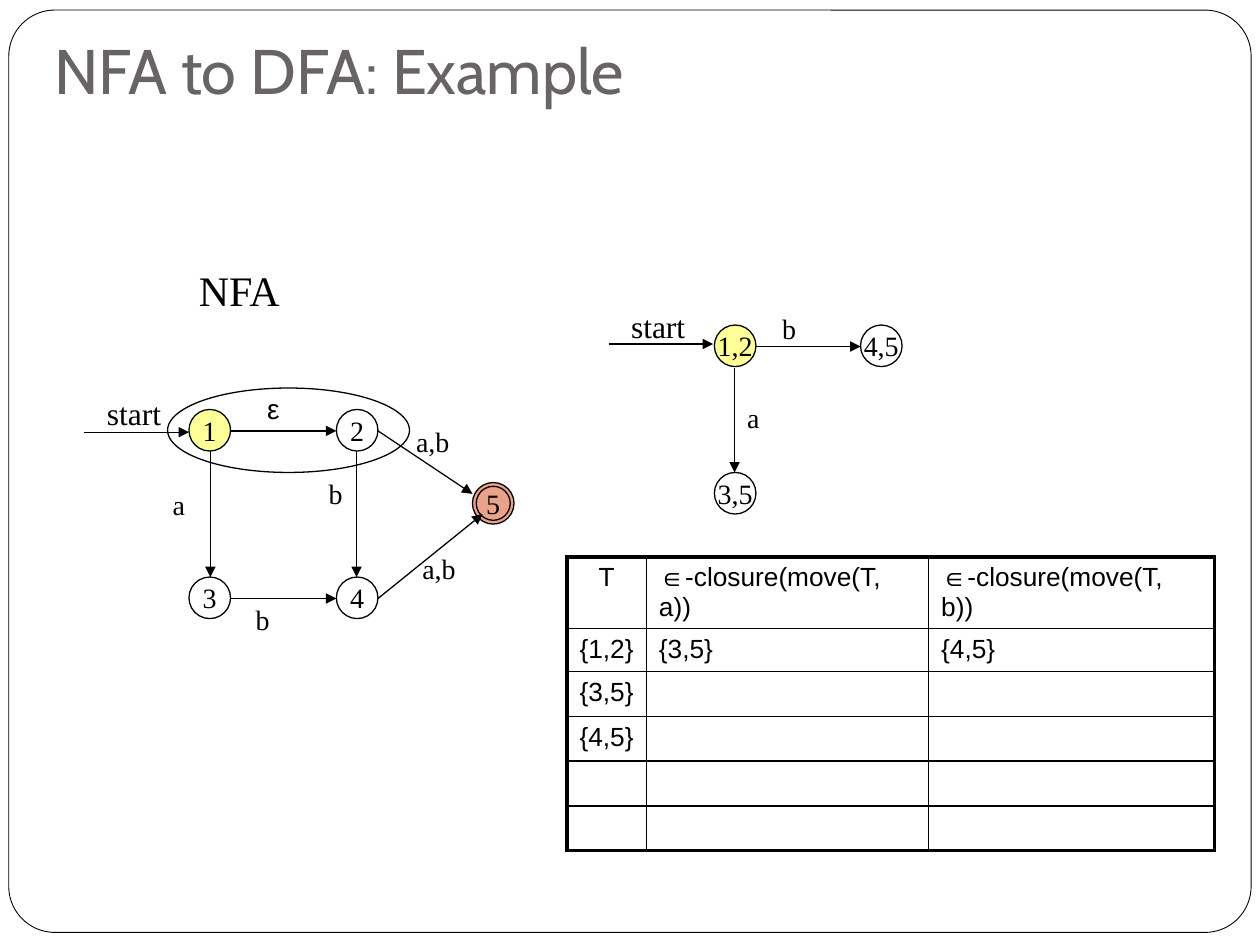
"""Builds a slide showing the first step of converting an NFA to a DFA."""
from lxml import etree
from pptx import Presentation, util as u
from pptx.dml.color import RGBColor
from pptx.enum import shapes, text
from pptx.oxml.ns import qn

BLACK = RGBColor(0x00, 0x00, 0x00)
WHITE = RGBColor(0xFF, 0xFF, 0xFF)
GRAY = RGBColor(0x69, 0x64, 0x64)
YELLOW = RGBColor(0xFF, 0xFF, 0x99)
RUST = RGBColor(0xD3, 0x48, 0x17)
SERIF, SANS = "Times New Roman", "Arial"
NODE = 0.33
CENTER, LEFT = text.PP_ALIGN.CENTER, text.PP_ALIGN.LEFT


def apply(target, formats):
    for name, value in formats.items():
        setattr(target, name, value)


class Diagram:
    def __init__(self, page):
        self.page = page
        self.line_width = u.Pt(0.75)

    def add_words(self, frame, words, size, font=SERIF, align=CENTER, color=BLACK):
        para = frame.paragraphs[0]
        para.alignment = align
        span = para.add_run()
        span.text = words
        apply(span.font, {"size": u.Pt(size), "name": font})
        span.font.color.rgb = color

    def title(self, words):
        box = self.page.shapes.title
        apply(box, {"left": u.Inches(0.33), "top": u.Inches(0.25),
                    "width": u.Inches(9.4), "height": u.Inches(0.7)})
        apply(box.text_frame, {"vertical_anchor": text.MSO_ANCHOR.BOTTOM,
                               "margin_bottom": u.Inches(0.1),
                               "auto_size": text.MSO_AUTO_SIZE.NONE})
        self.add_words(box.text_frame, words, 36, "Cabin", LEFT, GRAY)

    def outline(self, kind, place, fill=None):
        shape = self.page.shapes.add_shape(kind, *map(u.Inches, place))
        shape.shadow.inherit = False
        if fill is None:
            shape.fill.background()
        else:
            shape.fill.solid()
            shape.fill.fore_color.rgb = fill
        shape.line.color.rgb = BLACK
        shape.line.width = self.line_width
        return shape

    def frame(self):
        border = self.outline(shapes.MSO_SHAPE.ROUNDED_RECTANGLE, (0.07, 0.08, 9.86, 7.32), WHITE)
        border.adjustments[0] = 0.05
        border.line.width = u.Pt(0.5)
        self.page.shapes._spTree.insert(2, border._element)

    def oval(self, place, fill=None):
        return self.outline(shapes.MSO_SHAPE.OVAL, place, fill)

    def node(self, words, left, top, fill=None, alpha=None):
        circle = self.oval((left, top, NODE, NODE), fill)
        apply(circle.text_frame, {"word_wrap": False,
                                  "vertical_anchor": text.MSO_ANCHOR.MIDDLE})
        self.add_words(circle.text_frame, words, 16)
        if alpha is not None:
            color = circle._element.spPr.find(qn("a:solidFill"))[0]
            etree.SubElement(color, qn("a:alpha"), val=str(alpha * 1000))

    def arrow(self, *ends):
        line = self.page.shapes.add_connector(shapes.MSO_CONNECTOR.STRAIGHT, *map(u.Inches, ends))
        line.line.color.rgb = BLACK
        line.line.width = self.line_width
        etree.SubElement(line._element.spPr.find(qn("a:ln")), qn("a:tailEnd"), type="triangle")
        etree.SubElement(line._element.spPr, qn("a:effectLst"))

    def label(self, words, left, top, width=0.3, height=0.37, size=16, font=SERIF, align=CENTER):
        box = self.page.shapes.add_textbox(*map(u.Inches, (left, top, width, height)))
        apply(box.text_frame, {"word_wrap": False,
                               "auto_size": text.MSO_AUTO_SIZE.SHAPE_TO_FIT_TEXT})
        self.add_words(box.text_frame, words, size, font, align)

    def start(self, left, top, line_top):
        self.arrow(left, line_top, left + 0.83, line_top)
        self.label("start", left + 0.08, top, 0.69, 0.4, 18, align=LEFT)

    def borders(self, cell, widths):
        properties = cell._tc.get_or_add_tcPr()
        for index, (side, width) in enumerate(zip("LRTB", widths)):
            line = etree.Element(qn("a:ln" + side), w=str(int(u.Pt(width))))
            fill = etree.SubElement(line, qn("a:solidFill"))
            etree.SubElement(fill, qn("a:srgbClr"), val=str(BLACK))
            properties.insert(index, line)

    def table(self, rows, left, top, widths, heights):
        place = (left, top, sum(widths), sum(heights))
        grid = self.page.shapes.add_table(len(rows), len(widths), *map(u.Inches, place)).table
        apply(grid, {"first_row": False, "horz_banding": False})
        for column, width in zip(grid.columns, widths):
            column.width = u.Inches(width)
        last_row, last_column = len(rows) - 1, len(widths) - 1
        for r, row in enumerate(rows):
            grid.rows[r].height = u.Inches(heights[r])
            for c, words in enumerate(row):
                cell = grid.cell(r, c)
                cell.fill.background()
                edges = (c == 0, c == last_column, r == 0, r == last_row)
                self.borders(cell, [2.25 if edge else 1 for edge in edges])
                if words:
                    align = CENTER if r == c == 0 else LEFT
                    self.add_words(cell.text_frame, words, 15, SANS, align)
                else:
                    para = cell.text_frame.paragraphs[0]
                    etree.SubElement(para._p, qn("a:endParaRPr"), sz="1500")
                if r == 0 and c > 0:
                    cell.margin_right = u.Inches(0.2)


def main():
    deck = Presentation()
    apply(deck, {"slide_width": u.Inches(10), "slide_height": u.Inches(7.5)})
    diagram = Diagram(deck.slides.add_slide(deck.slide_layouts[5]))
    diagram.frame()
    diagram.title("NFA to DFA: Example")
    rows = [("T", "∈-closure(move(T, a))", "∈-closure(move(T, b))"),
            ("{1,2}", "{3,5}", "{4,5}"), ("{3,5}", "", ""), ("{4,5}", "", ""),
            ("", "", ""), ("", "", "")]
    diagram.table(rows, 4.5, 4.42, (0.63, 2.24, 2.27), (0.57, 0.34) + (0.33,) * 4)

    for node in [("1,2", 5.67, 2.58, YELLOW), ("4,5", 6.83, 2.58), ("3,5", 5.67, 3.75),
                 ("1", 1.5, 3.25, YELLOW), ("5", 3.75, 3.83, RUST, 50),
                 ("2", 2.67, 3.25, WHITE), ("4", 2.67, 4.58, WHITE), ("3", 1.5, 4.58, WHITE)]:
        diagram.node(*node)
    for ends in [(6, 2.75, 6.83, 2.75), (5.83, 2.92, 5.83, 3.75),
                 (1.83, 3.42, 2.67, 3.42), (2.83, 3.58, 2.83, 4.58),
                 (1.67, 3.58, 1.67, 4.58), (1.83, 4.75, 2.67, 4.75),
                 (3, 4.75, 3.83, 4.08), (3, 3.42, 3.75, 3.92)]:
        diagram.arrow(*ends)
    for label in [("b", 6.11, 2.42), ("a", 5.83, 3.13), ("b", 1.93, 4.73), ("a", 1.27, 3.82),
                  ("b", 2.51, 3.73), ("a,b", 3.2, 3.32, 0.47), ("a,b", 3.25, 4.33, 0.47)]:
        diagram.label(*label)
    diagram.label("ε", 2.02, 3.06, font=SANS)
    diagram.label("NFA", 1.48, 2.05, 0.87, 0.5, 24, align=LEFT)
    diagram.oval((1.33, 3.08, 1.92, 0.67))
    diagram.oval((3.78, 3.86, 0.27, 0.27))
    diagram.start(0.67, 3.08, 3.43)
    diagram.start(4.83, 2.39, 2.73)
    deck.save("out.pptx")


if __name__ == "__main__":
    main()
